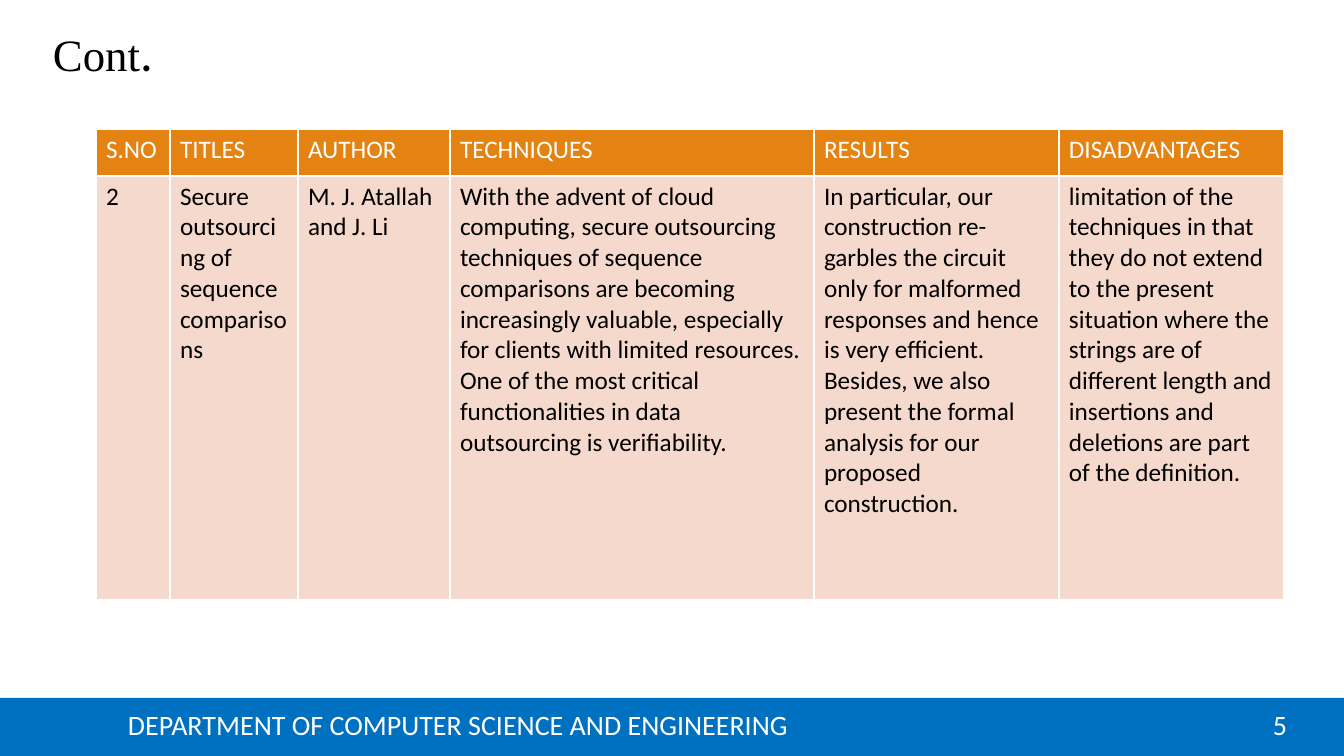
from lxml.etree import SubElement
from pptx import Presentation
from pptx.dml.color import RGBColor
from pptx.enum.shapes import MSO_SHAPE as Shape
from pptx.enum.text import MSO_ANCHOR as Anchor, PP_ALIGN as Align
from pptx.oxml.ns import qn
from pptx.util import Pt

EMU_PER_PX = 914400 / 100.8
BLUE, ORANGE, PEACH = "0070C0", "E48312", "F5D9CC"
WHITE, BLACK = "FFFFFF", "000000"

COLUMN_WIDTHS = [74, 128, 152, 364, 245, 225]
ROW_HEIGHTS = [47, 424]
HEADINGS = ["S.NO", "TITLES", "AUTHOR", "TECHNIQUES", "RESULTS", "DISADVANTAGES"]
SURVEY = [
    "2",
    "Secure outsourcing of sequence comparisons",
    "M. J. Atallah and J. Li",
    "With the advent of cloud computing, secure outsourcing techniques of "
    "sequence comparisons are becoming increasingly valuable, especially for "
    "clients with limited resources. One of the most critical functionalities "
    "in data outsourcing is verifiability.",
    "In particular, our construction re-garbles the circuit only for malformed "
    "responses and hence is very efficient. Besides, we also present the formal "
    "analysis for our proposed construction.",
    "limitation of the techniques in that they do not extend to the present "
    "situation where the strings are of different length and insertions and "
    "deletions are part of the definition.",
]


def px(length):
    return round(length * EMU_PER_PX)


def color(value):
    return RGBColor.from_string(value)


def write(para, text, size=18, font="Calibri", ink=BLACK, align=Align.LEFT):
    para.alignment = align
    span = para.add_run()
    span.text = text
    span.font.size = Pt(size)
    span.font.name = font
    span.font.bold = False
    span.font.color.rgb = color(ink)


def add_bar(page, left, top, width, height):
    bar = page.shapes.add_shape(Shape.RECTANGLE, px(left), px(top), px(width), px(height))
    bar.shadow.inherit = False
    bar.fill.solid()
    bar.fill.fore_color.rgb = color(BLUE)
    bar.line.fill.background()
    return bar


def add_footer_text(page, left, width, text, align):
    frame = add_bar(page, left, 704, width, 40).text_frame
    frame.word_wrap = True
    frame.vertical_anchor = Anchor.MIDDLE
    write(frame.paragraphs[0], text, size=20, ink=WHITE, align=align)


def add_title(page):
    box = page.shapes.add_textbox(px(43), px(16), px(672), px(71))
    box.text_frame.word_wrap = True
    para = box.text_frame.paragraphs[0]
    write(para, "Cont", size=32, font="Times New Roman")
    write(para, ".", size=36)


def fill_cell(cell, text, fill, ink):
    write(cell.text_frame.paragraphs[0], text, ink=ink)
    properties = cell._tc.get_or_add_tcPr()
    for side in ("a:lnL", "a:lnR", "a:lnT", "a:lnB"):
        border = SubElement(properties, qn(side), w=str(Pt(1)))
        paint = SubElement(border, qn("a:solidFill"))
        SubElement(paint, qn("a:srgbClr"), val=WHITE)
    cell.fill.solid()
    cell.fill.fore_color.rgb = color(fill)


def add_survey_table(page):
    rows = [(HEADINGS, ORANGE, WHITE), (SURVEY, PEACH, BLACK)]
    table = page.shapes.add_table(
        len(rows), len(HEADINGS), px(96), px(129),
        px(sum(COLUMN_WIDTHS)), px(sum(ROW_HEIGHTS))).table
    for column, width in zip(table.columns, COLUMN_WIDTHS):
        column.width = px(width)
    for row, height, (texts, fill, ink) in zip(table.rows, ROW_HEIGHTS, rows):
        row.height = px(height)
        for cell, text in zip(row.cells, texts):
            fill_cell(cell, text, fill, ink)


def main():
    deck = Presentation()
    deck.slide_width, deck.slide_height = px(1344), px(756)
    page = deck.slides.add_slide(deck.slide_layouts[6])
    add_bar(page, 0, 706, 1344, 50)
    add_bar(page, 0, 698, 1344, 8)
    add_footer_text(page, 1153, 144, "5", Align.RIGHT)
    add_footer_text(page, 118, 1007, "DEPARTMENT OF COMPUTER SCIENCE AND ENGINEERING", Align.LEFT)
    add_survey_table(page)
    add_title(page)
    deck.save("out.pptx")


if __name__ == "__main__":
    main()
